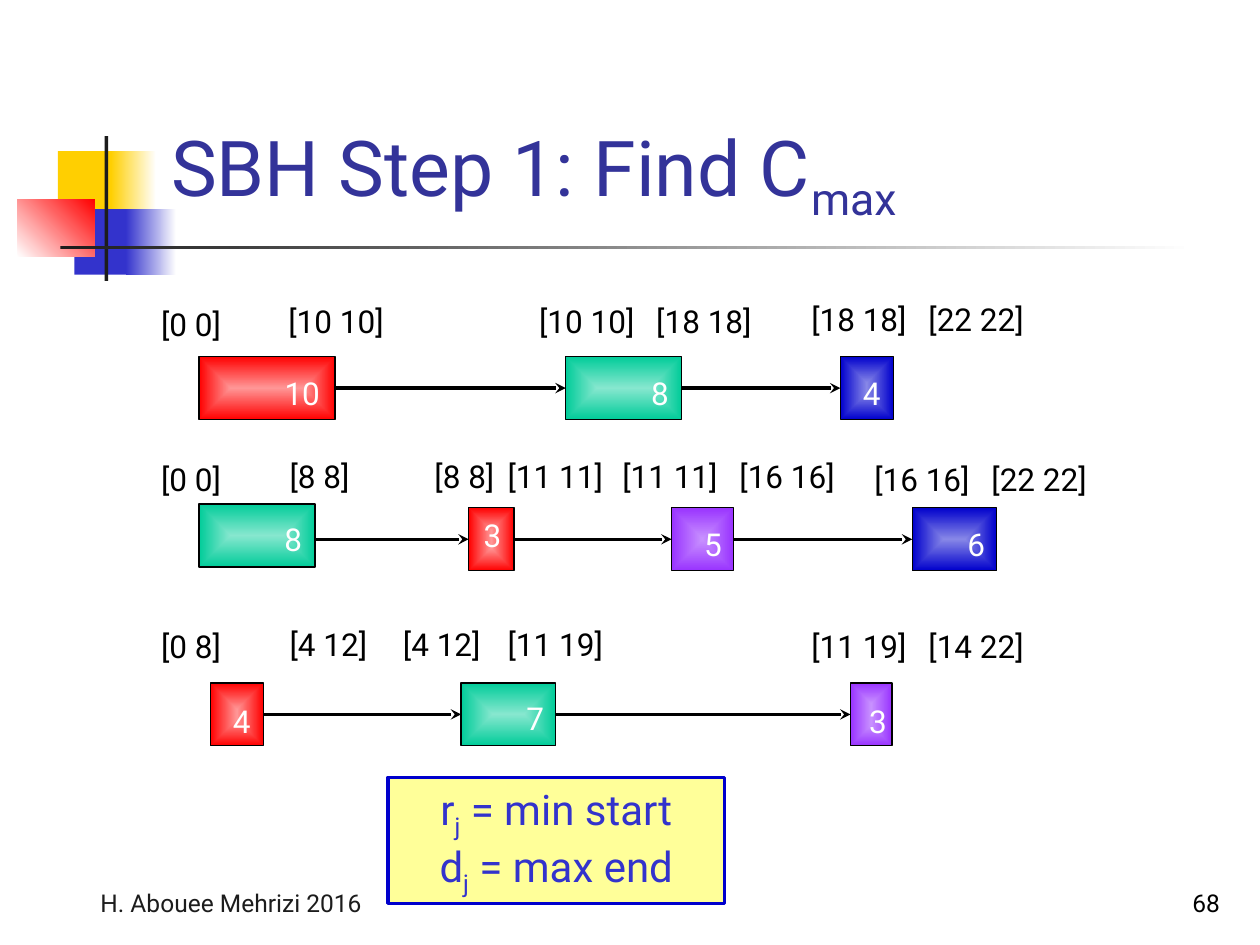
from dataclasses import dataclass

import lxml.etree
import pptx
import pptx.dml.color
import pptx.enum.shapes
import pptx.enum.text
import pptx.oxml.ns
import pptx.util

Inches = pptx.util.Inches
Pt = pptx.util.Pt
qn = pptx.oxml.ns.qn
ALIGN = pptx.enum.text.PP_ALIGN
ANCHOR = pptx.enum.text.MSO_ANCHOR
RECT = pptx.enum.shapes.MSO_SHAPE.RECTANGLE


@dataclass(frozen=True)
class Theme:
    font: str = "Roboto"
    title_size: int = 44
    legend_size: int = 24
    label_size: int = 18
    footer_size: int = 14
    black: str = "000000"
    white: str = "FFFFFF"
    dark: str = "1C1C1C"
    title: str = "333399"
    yellow: str = "FFCF01"
    indigo: str = "3333CC"
    pale_yellow: str = "FFFF99"
    border: str = "0000CC"
    red: tuple = ("FF9696", "FF0000")
    green: tuple = ("87E7CF", "00CC99")
    blue: tuple = ("8787E7", "0000CC")
    purple: tuple = ("C891FF", "9933FF")


THEME = Theme()

# line y, then jobs: colours, left, width, box y shift, number, number left, number top
ROUTES = [
    (3.08, [
        (THEME.red, 1.58, 1.08, 0, "10", 2.16, 2.92),
        (THEME.green, 4.49, 0.92, 0, "8", 5.07, 2.92),
        (THEME.blue, 6.67, 0.42, 0, "4", 6.75, 2.92),
    ]),
    (4.28, [
        (THEME.green, 1.58, 0.92, -0.03, "8", 2.16, 4.08),
        (THEME.red, 3.72, 0.36, 0, "3", 3.74, 4.05),
        (THEME.purple, 5.33, 0.49, 0, "5", 5.49, 4.12),
        (THEME.blue, 7.24, 0.67, 0, "6", 7.58, 4.12),
    ]),
    (5.67, [
        (THEME.red, 1.67, 0.42, 0, "4", 1.75, 5.52),
        (THEME.green, 3.66, 0.75, 0, "7", 4.08, 5.5),
        (THEME.purple, 6.75, 0.33, 0, "3", 6.8, 5.52),
    ]),
]

WINDOWS = [
    (2.37, [(1.18, "[0 0]")]),
    (2.35, [(2.19, "[10 10]"), (4.18, "[10 10]"), (5.11, "[18 18]")]),
    (2.33, [(6.34, "[18 18]"), (7.27, "[22 22]")]),
    (3.6, [(1.18, "[0 0]"), (6.84, "[16 16]"), (7.77, "[22 22]")]),
    (3.58, [(2.2, "[8 8]"), (3.35, "[8 8]"), (3.93, "[11 11]"),
            (4.84, "[11 11]"), (5.77, "[16 16]")]),
    (4.93, [(1.18, "[0 8]"), (6.34, "[11 19]"), (7.27, "[14 22]")]),
    (4.91, [(2.2, "[4 12]"), (3.1, "[4 12]"), (3.93, "[11 19]")]),
]


def rgb(value):
    return pptx.dml.color.RGBColor.from_string(value)


def write(tf, paragraphs, size, color, align=ALIGN.LEFT, anchor=ANCHOR.TOP, wrap=True):
    tf.word_wrap = wrap
    tf.vertical_anchor = anchor
    for i, runs in enumerate(paragraphs):
        p = tf.paragraphs[0] if i == 0 else tf.add_paragraph()
        p.alignment = align
        p.font.name = THEME.font
        p.font.size = Pt(size)
        p.font.color.rgb = rgb(color)
        for text, subscript in runs:
            r = p.add_run()
            r.text = text
            if subscript:
                r._r.get_or_add_rPr().set("baseline", "-25000")


def add_text(shapes, box, runs, size, color, **layout):
    sp = shapes.add_textbox(*map(Inches, box))
    write(sp.text_frame, [runs], size, color, **layout)


def add_rect(shapes, box, fill, angle=0, line=None, weight=0):
    sp = shapes.add_shape(RECT, *map(Inches, box))
    sp.shadow.inherit = False
    if isinstance(fill, tuple):
        sp.fill.gradient()
        sp.fill.gradient_angle = angle
        for stop, color in zip(sp.fill.gradient_stops, fill):
            stop.color.rgb = rgb(color)
    else:
        sp.fill.solid()
        sp.fill.fore_color.rgb = rgb(fill)
    if line:
        sp.line.color.rgb = rgb(line)
        sp.line.width = Pt(weight)
    else:
        sp.line.fill.background()
    return sp


def glow_from_centre(sp):
    grad = sp._element.spPr.find(qn("a:gradFill"))
    grad.remove(grad.find(qn("a:lin")))
    radial = lxml.etree.SubElement(grad, qn("a:path"), path="rect")
    lxml.etree.SubElement(radial, qn("a:fillToRect"),
                          l="50000", t="50000", r="50000", b="50000")


def add_job(s, y, colors, left, width, shift, number, text_left, text_top):
    shapes = s.shapes.add_group_shape().shapes
    sp = add_rect(shapes, (left, y - 0.25 + shift, width, 0.5), colors,
                  line=THEME.black, weight=0.75)
    glow_from_centre(sp)
    add_text(shapes, (text_left, text_top, 0.2 + 0.14 * len(number), 0.4),
             [(number, False)], THEME.label_size, THEME.white, wrap=False)
    return sp


def add_arrow(s, y, source, target):
    line_y = Inches(y)
    cxn = s.shapes.add_connector(pptx.enum.shapes.MSO_CONNECTOR.STRAIGHT,
                                 source.left + source.width, line_y, target.left, line_y)
    if abs(source.top + source.height // 2 - line_y) < Inches(0.01):
        cxn.begin_connect(source, 3)
    cxn.end_connect(target, 1)
    cxn.line.color.rgb = rgb(THEME.black)
    cxn.line.width = Pt(2)
    lxml.etree.SubElement(cxn.line._get_or_add_ln(), qn("a:tailEnd"), type="stealth")
    lxml.etree.SubElement(cxn._element.spPr, qn("a:effectLst"))


def add_route(s, y, jobs):
    boxes = [add_job(s, y, *job) for job in jobs]
    for source, target in zip(boxes, boxes[1:]):
        add_arrow(s, y, source, target)


def add_decoration(s):
    for box, fill, angle in [
        ((0.46, 1.2, 0.48, 0.52), THEME.yellow, 0),
        ((0.88, 1.2, 0.36, 0.52), (THEME.yellow, THEME.white), 0),
        ((0.59, 1.66, 0.46, 0.52), THEME.indigo, 0),
        ((1, 1.66, 0.4, 0.52), (THEME.indigo, THEME.white), 0),
        ((0.14, 1.58, 0.61, 0.46), (THEME.white, THEME.red[1]), 45),
        ((0.83, 1.08, 0.03, 1.15), THEME.dark, 0),
        ((0.48, 1.95, 9, 0.03), (THEME.dark, THEME.white), 0),
    ]:
        add_rect(s.shapes, box, fill, angle)


def add_legend(s):
    sp = add_rect(s.shapes, (3.08, 6.17, 2.67, 1), THEME.pale_yellow,
                  line=THEME.border, weight=2)
    paragraphs = [[(symbol, False), ("j", True), (meaning, False)]
                  for symbol, meaning in [("r", " = min start"), ("d", " = max end")]]
    write(sp.text_frame, paragraphs, THEME.legend_size, THEME.indigo,
          align=ALIGN.CENTER, anchor=ANCHOR.MIDDLE, wrap=False)


def main():
    prs = pptx.Presentation()
    prs.slide_width, prs.slide_height = Inches(10), Inches(7.5)
    s = prs.slides.add_slide(prs.slide_layouts[6])
    add_decoration(s)
    add_text(s.shapes, (0.25, 6.83, 3.17, 0.5), [("H. Abouee Mehrizi 2016", False)],
             THEME.footer_size, THEME.dark, align=ALIGN.CENTER, anchor=ANCHOR.BOTTOM)
    add_text(s.shapes, (7.7, 6.83, 2.08, 0.5), [("68", False)],
             THEME.footer_size, THEME.black, align=ALIGN.RIGHT, anchor=ANCHOR.BOTTOM)
    add_text(s.shapes, (1.26, 0.23, 8.52, 1.6), [("SBH Step 1: Find C", False), ("max", True)],
             THEME.title_size, THEME.title, anchor=ANCHOR.BOTTOM)
    for y, jobs in ROUTES:
        add_route(s, y, jobs)
    for y, windows in WINDOWS:
        for x, text in windows:
            add_text(s.shapes, (x, y, 0.14 * len(text), 0.4), [(text, False)],
                     THEME.label_size, THEME.black, wrap=False)
    add_legend(s)
    prs.save("out.pptx")


if __name__ == "__main__":
    main()
